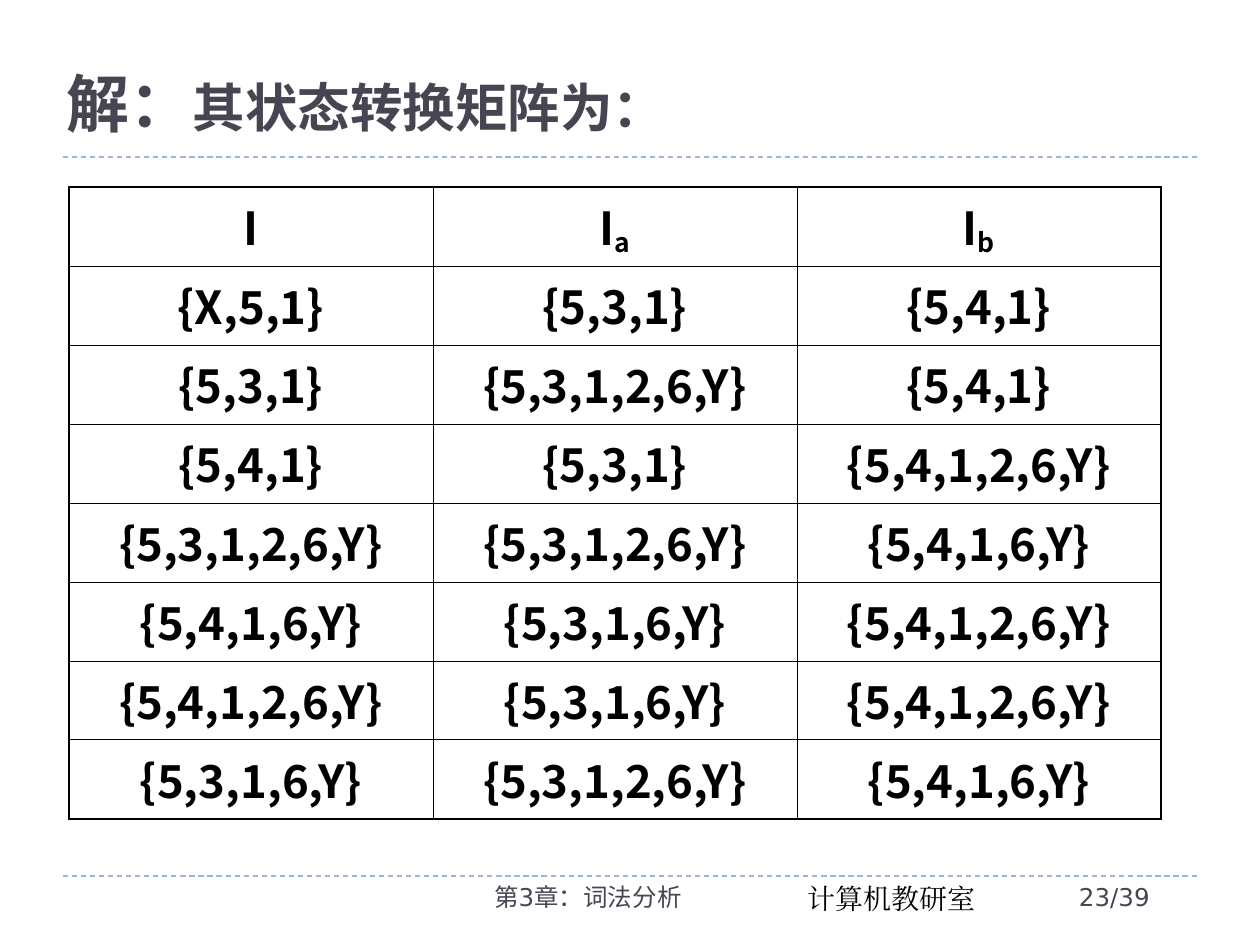
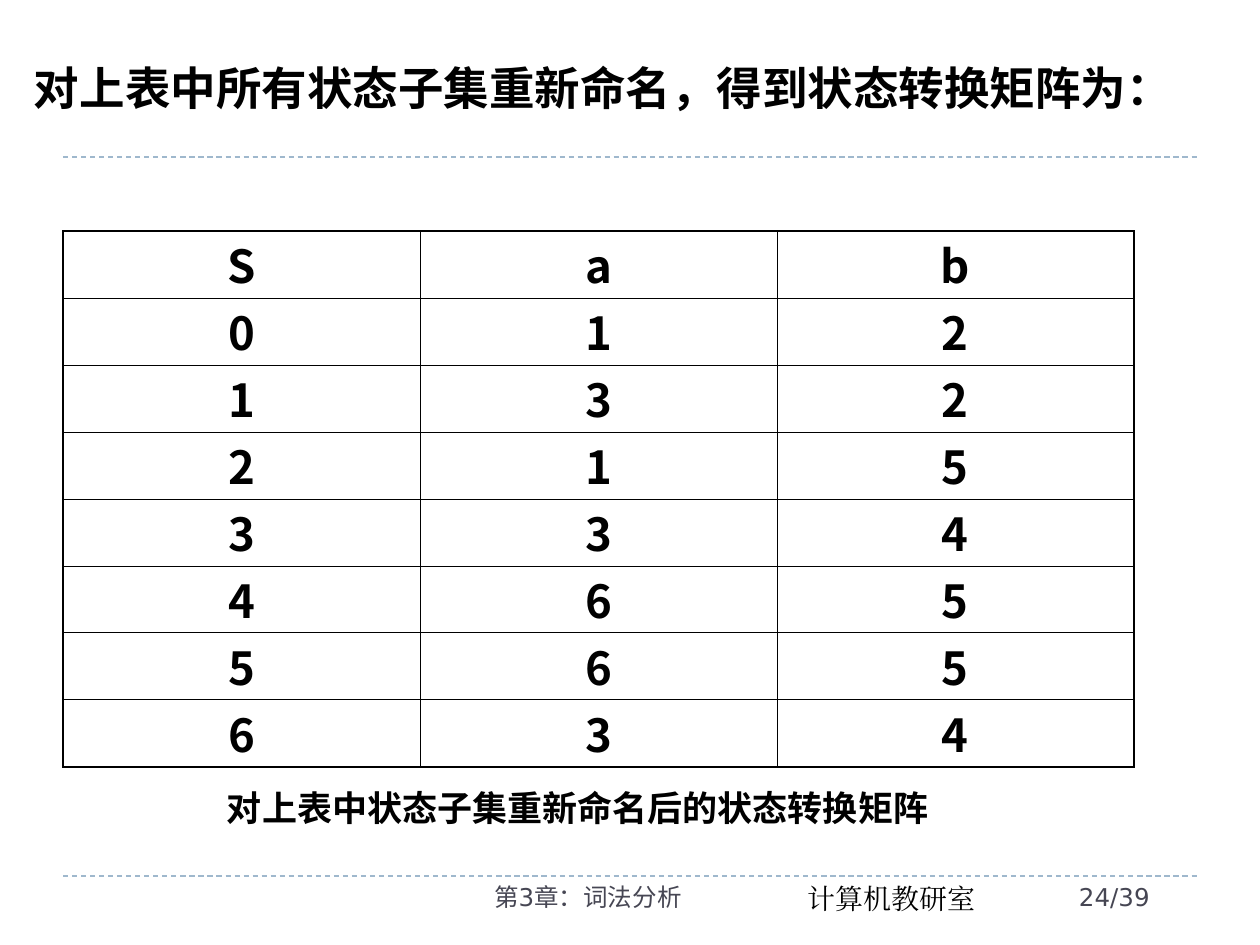
from dataclasses import dataclass

from lxml import etree
from pptx import Presentation
from pptx.dml.color import RGBColor
from pptx.enum.dml import MSO_LINE
from pptx.enum.shapes import MSO_CONNECTOR
from pptx.enum.text import MSO_ANCHOR, PP_ALIGN
from pptx.oxml.ns import qn
from pptx.slide import Slide
from pptx.table import _Cell
from pptx.text.text import _Paragraph
from pptx.util import Emu, Pt

PX_PER_INCH = 126
EMU_PER_PX = 914400 / PX_PER_INCH
LEFT, CENTER = PP_ALIGN.LEFT, PP_ALIGN.CENTER
TOP, BOTTOM = MSO_ANCHOR.TOP, MSO_ANCHOR.BOTTOM
STRAIGHT, DASH = MSO_CONNECTOR.STRAIGHT, MSO_LINE.DASH

BLACK = "000000"
SLATE = "464653"
RULE_BLUE = "9FB8CD"
HEADING_FONT = "Noto Sans CJK SC"
FOOTER_FONT = "DejaVu Sans"
OFFICE_FONT = "Times New Roman"

RULE_LEFT, RULE_RIGHT = 63, 1197
TITLE_RULE_Y, FOOTER_Y = 157, 876
INSET_X, INSET_Y = 13, 6
INNER_BORDER, OUTER_BORDER = 0.45, 1.08


@dataclass(frozen=True)
class TextStyle:
    size: int
    color: str = BLACK
    font: str = HEADING_FONT
    bold: bool = True
    baseline: int = 0


@dataclass(frozen=True)
class TextPiece:
    text: str
    style: TextStyle


@dataclass(frozen=True)
class TextBox:
    left: int
    top: int
    width: int
    height: int
    pieces: tuple[TextPiece, ...]
    align: PP_ALIGN = LEFT
    anchor: MSO_ANCHOR = TOP
    inset_y: int = INSET_Y


@dataclass(frozen=True)
class Matrix:
    left: int
    top: int
    column_width: int
    row_height: int
    inset_y: int
    rows: tuple[tuple[str, ...], ...]


CELL_STYLE = TextStyle(26)
SUBSCRIPT_STYLE = TextStyle(26, baseline=-14000)
FOOTER_STYLE = TextStyle(14, SLATE, FOOTER_FONT, bold=False)
OFFICE_STYLE = TextStyle(16, BLACK, OFFICE_FONT, bold=False)

SUBSET_MATRIX = Matrix(69, 187, 364, 79, INSET_Y, (
    ("I", "I_a", "I_b"),
    ("{X,5,1}", "{5,3,1}", "{5,4,1}"),
    ("{5,3,1}", "{5,3,1,2,6,Y}", "{5,4,1}"),
    ("{5,4,1}", "{5,3,1}", "{5,4,1,2,6,Y}"),
    ("{5,3,1,2,6,Y}", "{5,3,1,2,6,Y}", "{5,4,1,6,Y}"),
    ("{5,4,1,6,Y}", "{5,3,1,6,Y}", "{5,4,1,2,6,Y}"),
    ("{5,4,1,2,6,Y}", "{5,3,1,6,Y}", "{5,4,1,2,6,Y}"),
    ("{5,3,1,6,Y}", "{5,3,1,2,6,Y}", "{5,4,1,6,Y}"),
))
RENAMED_MATRIX = Matrix(63, 231, 357, 67, 0, (
    ("S", "a", "b"),
    ("0", "1", "2"),
    ("1", "3", "2"),
    ("2", "1", "5"),
    ("3", "3", "4"),
    ("4", "6", "5"),
    ("5", "6", "5"),
    ("6", "3", "4"),
))

SOLUTION_TITLE = TextBox(54, 49, 1081, 91, (
    TextPiece("解：", TextStyle(36, SLATE)),
    TextPiece("其状态转换矩阵为：", TextStyle(30, SLATE)),
), anchor=BOTTOM, inset_y=0)
RENAMING_TITLE = TextBox(21, 60, 1218, 87, (
    TextPiece("对上表中所有状态子集重新命名，得到状态转换矩阵为：", TextStyle(26)),
), inset_y=0)
MATRIX_CAPTION = TextBox(214, 780, 760, 54, (
    TextPiece("对上表中状态子集重新命名后的状态转换矩阵", TextStyle(20)),
))


def px(length: int) -> Emu:
    return Emu(round(length * EMU_PER_PX))


def rgb(color: str) -> RGBColor:
    return RGBColor.from_string(color)


def add_run(paragraph: _Paragraph, piece: TextPiece) -> None:
    run = paragraph.add_run()
    run.text = piece.text
    style = piece.style
    run.font.size = Pt(style.size)
    run.font.bold = style.bold
    run.font.name = style.font
    run.font.color.rgb = rgb(style.color)
    properties = run._r.get_or_add_rPr()
    etree.SubElement(properties, qn("a:ea"), typeface=style.font)
    if style.baseline:
        properties.set("baseline", str(style.baseline))


def add_text(slide: Slide, box: TextBox) -> None:
    shape = slide.shapes.add_textbox(
        px(box.left), px(box.top), px(box.width), px(box.height))
    frame = shape.text_frame
    frame.word_wrap = True
    frame.vertical_anchor = box.anchor
    frame.margin_left = frame.margin_right = px(INSET_X)
    frame.margin_top = frame.margin_bottom = px(box.inset_y)
    paragraph = frame.paragraphs[0]
    paragraph.alignment = box.align
    for piece in box.pieces:
        add_run(paragraph, piece)


def add_rule(slide: Slide, y: int) -> None:
    rule = slide.shapes.add_connector(
        STRAIGHT, px(RULE_LEFT), px(y), px(RULE_RIGHT), px(y))
    rule.line.color.rgb = rgb(RULE_BLUE)
    rule.line.width = Pt(0.75)
    rule.line.dash_style = DASH
    etree.SubElement(rule._element.spPr, qn("a:effectLst"))


def set_borders(cell: _Cell, outer_sides: dict[str, bool]) -> None:
    """Draw all four sides, heavier where a side lies on the table's edge."""
    properties = cell._tc.get_or_add_tcPr()
    for side, is_outer in outer_sides.items():
        width = Pt(OUTER_BORDER if is_outer else INNER_BORDER)
        line = etree.SubElement(properties, qn(f"a:ln{side}"), w=str(width))
        fill = etree.SubElement(line, qn("a:solidFill"))
        etree.SubElement(fill, qn("a:srgbClr"), val=BLACK)


def add_matrix(slide: Slide, matrix: Matrix) -> None:
    """Draw the matrix; an underscore in an entry starts its subscript."""
    row_count, column_count = len(matrix.rows), len(matrix.rows[0])
    table = slide.shapes.add_table(
        row_count, column_count, px(matrix.left), px(matrix.top),
        px(matrix.column_width * column_count),
        px(matrix.row_height * row_count)).table
    table.first_row = table.horz_banding = False
    for column in table.columns:
        column.width = px(matrix.column_width)
    for row_index, entries in enumerate(matrix.rows):
        table.rows[row_index].height = px(matrix.row_height)
        for column_index, entry in enumerate(entries):
            cell = table.cell(row_index, column_index)
            cell.margin_left = cell.margin_right = px(INSET_X)
            cell.margin_top = cell.margin_bottom = px(matrix.inset_y)
            set_borders(cell, {
                "L": column_index == 0,
                "R": column_index == column_count - 1,
                "T": row_index == 0,
                "B": row_index == row_count - 1,
            })
            cell.fill.background()
            paragraph = cell.text_frame.paragraphs[0]
            paragraph.alignment = CENTER
            symbol, _, subscript = entry.partition("_")
            add_run(paragraph, TextPiece(symbol, CELL_STYLE))
            if subscript:
                add_run(paragraph, TextPiece(subscript, SUBSCRIPT_STYLE))


def add_frame(slide: Slide, page: int) -> None:
    """Draw the rules and footer texts that every slide carries."""
    add_rule(slide, FOOTER_Y)
    add_rule(slide, TITLE_RULE_Y)
    footers = (
        TextBox(795, FOOTER_Y, 209, 47,
                (TextPiece("计算机教研室", OFFICE_STYLE),)),
        TextBox(399, FOOTER_Y, 378, 50,
                (TextPiece("第3章：词法分析", FOOTER_STYLE),), CENTER),
        TextBox(1066, FOOTER_Y, 145, 50,
                (TextPiece(f"{page}/39", FOOTER_STYLE),)),
    )
    for footer in footers:
        add_text(slide, footer)


def main() -> None:
    presentation = Presentation()
    presentation.slide_width = px(1260)
    presentation.slide_height = px(945)
    blank_layout = presentation.slide_layouts[6]
    contents = (
        (23, SUBSET_MATRIX, (SOLUTION_TITLE,)),
        (24, RENAMED_MATRIX, (RENAMING_TITLE, MATRIX_CAPTION)),
    )
    for page, matrix, texts in contents:
        slide = presentation.slides.add_slide(blank_layout)
        add_frame(slide, page)
        add_matrix(slide, matrix)
        for text in texts:
            add_text(slide, text)
    presentation.save("out.pptx")


if __name__ == "__main__":
    main()
